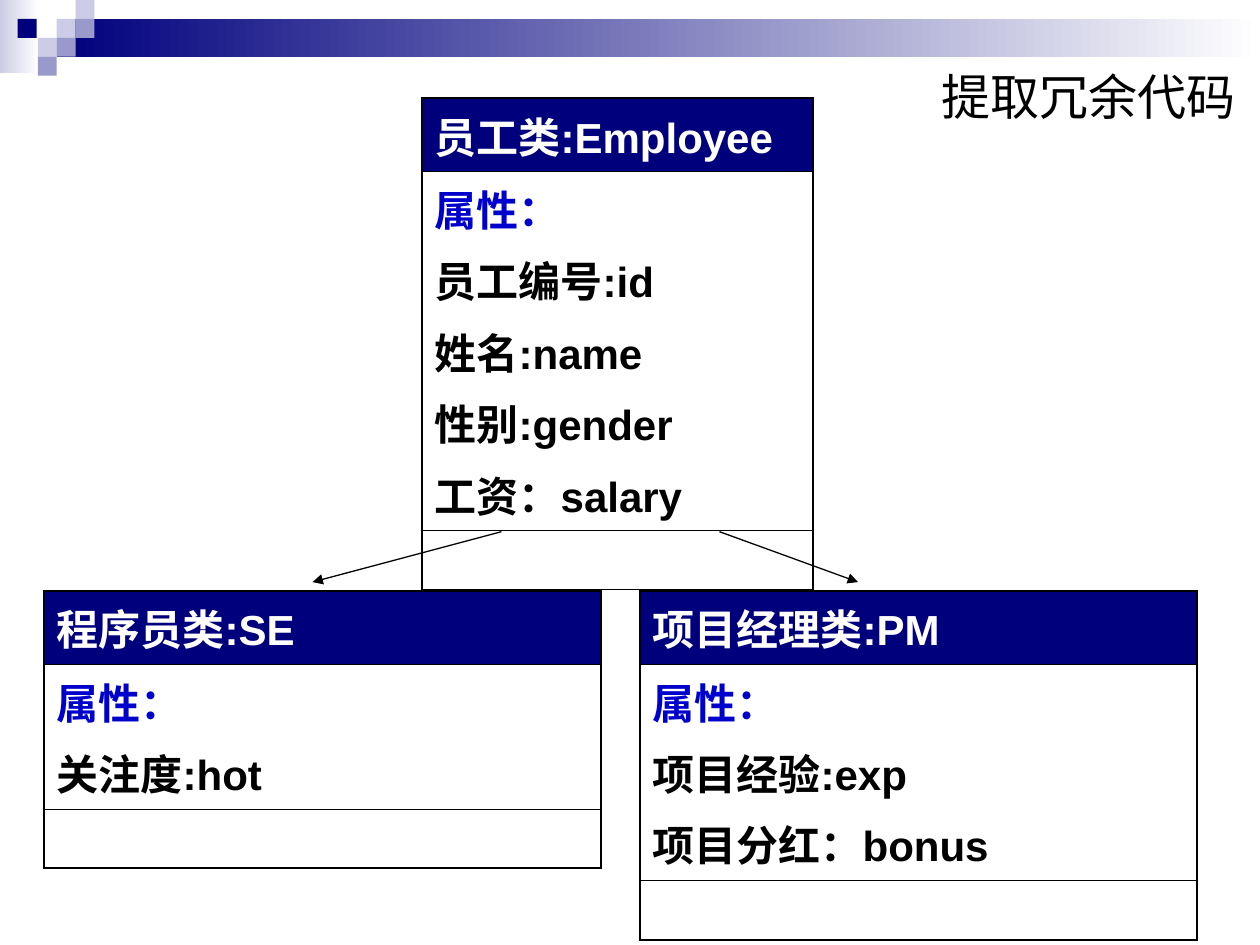
"""Build a slide showing shared fields lifted into a parent class."""
from lxml import etree
from pptx import Presentation
from pptx import util as u
from pptx.dml.color import RGBColor
from pptx.enum import shapes, text
from pptx.oxml.ns import qn

COLORS = {"navy": "00007D", "blue": "0000CC", "lilac": "CCCCE6",
          "violet": "9999CC", "white": "FFFFFF", "black": "000000"}
BANDS = [(0, 0, 0.31, 0.58, "lilac"), (0.45, 0.15, 9.55, 0.3, "navy")]
SQUARES = [(0.45, 0.15, "lilac"), (0.6, 0, "lilac"), (0.6, 0.15, "violet"),
           (0.3, 0.3, "lilac"), (0.14, 0.15, "navy"), (0.45, 0.3, "violet"),
           (0.3, 0.45, "violet")]
CLASSES = [
    (0.35, 4.69, 4.42, 1.15, "程序员类:SE", ["关注度:hot"]),
    (5.08, 4.69, 4.42, 1.72, "项目经理类:PM", ["项目经验:exp", "项目分红：bonus"]),
    (3.35, 0.78, 3.1, 2.85, "员工类:Employee",
     ["员工编号:id", "姓名:name", "性别:gender", "工资：salary"]),
]
ARROWS = [(2.48, 4.62, 3.98, 4.22), (6.81, 4.62, 5.71, 4.22)]
HEADER_HEIGHT, METHODS_HEIGHT = 0.58, 0.47
THICK, THIN = 1.08, 0.45


def rgb(name):
    """Return the named colour."""
    return RGBColor.from_string(COLORS[name])


def add_block(page, left, top, width, height, color, fades=False):
    """Add a borderless rectangle, solid or fading to white."""
    block = page.shapes.add_shape(
        shapes.MSO_SHAPE.RECTANGLE, *map(u.Inches, (left, top, width, height)))
    block.shadow.inherit = False
    block.line.fill.background()
    if fades:
        block.fill.gradient()
        block.fill.gradient_angle = 0
        for stop, name in zip(block.fill.gradient_stops, (color, "white")):
            stop.color.rgb = rgb(name)
    else:
        block.fill.solid()
        block.fill.fore_color.rgb = rgb(color)


def write(para, words, color, **formats):
    """Write one span of text with the given font values."""
    span = para.add_run()
    span.text = words
    span.font.color.rgb = rgb(color)
    for name, value in {"name": "Arial", **formats}.items():
        setattr(span.font, name, value)


def add_title(page, words):
    """Add the right-aligned title."""
    box = page.shapes.add_textbox(*map(u.Inches, (6.65, 0.38, 3.25, 0.77)))
    frame = box.text_frame
    frame.word_wrap = True
    frame.vertical_anchor = text.MSO_ANCHOR.MIDDLE
    frame.paragraphs[0].alignment = text.PP_ALIGN.RIGHT
    write(frame.paragraphs[0], words, "black", size=u.Pt(28))


def set_borders(cell, top, bottom):
    """Draw the four black borders of a cell."""
    props = cell._tc.get_or_add_tcPr()
    widths = {"lnL": THICK, "lnR": THICK, "lnT": top, "lnB": bottom}
    for tag, width in widths.items():
        line = etree.SubElement(props, qn(f"a:{tag}"), w=str(u.Pt(width)))
        fill = etree.SubElement(line, qn("a:solidFill"))
        etree.SubElement(fill, qn("a:srgbClr"), val=COLORS["black"])


def fill_cell(cell, lines):
    """Write (words, colour) pairs as paragraphs of a cell."""
    frame = cell.text_frame
    for index, (words, color) in enumerate(lines):
        para = frame.add_paragraph() if index else frame.paragraphs[0]
        para.space_before = u.Pt(6)
        write(para, words, color, size=u.Pt(24), bold=True)


def add_class(page, left, top, width, fields_height, name, fields):
    """Add a class table with name, fields and empty methods rows."""
    heights = (HEADER_HEIGHT, fields_height, METHODS_HEIGHT)
    table = page.shapes.add_table(
        3, 1, *map(u.Inches, (left, top, width, sum(heights)))).table
    table.first_row = table.horz_banding = False
    contents = ([(name, "white")],
                [("属性：", "blue")] + [(field, "black") for field in fields],
                [])
    edges = (THICK, THIN, THIN, THICK)
    for index, (height, lines) in enumerate(zip(heights, contents)):
        table.rows[index].height = u.Inches(height)
        cell = table.cell(index, 0)
        set_borders(cell, edges[index], edges[index + 1])
        cell.fill.background()
        fill_cell(cell, lines)
    header = table.cell(0, 0)
    header.fill.solid()
    header.fill.fore_color.rgb = rgb("navy")


def add_arrow(page, *ends):
    """Add a thin line with a triangle at its first end."""
    arrow = page.shapes.add_connector(
        shapes.MSO_CONNECTOR.STRAIGHT, *map(u.Inches, ends))
    arrow.line.color.rgb = rgb("black")
    arrow.line.width = u.Pt(0.75)
    etree.SubElement(arrow.line._get_or_add_ln(), qn("a:headEnd"), type="triangle")
    etree.SubElement(arrow._element.spPr, qn("a:effectLst"))


def main():
    """Build and save the deck."""
    deck = Presentation()
    deck.slide_width, deck.slide_height = u.Inches(10), u.Inches(7.5)
    page = deck.slides.add_slide(deck.slide_layouts[6])
    for band in BANDS:
        add_block(page, *band, fades=True)
    for left, top, color in SQUARES:
        add_block(page, left, top, 0.15, 0.15, color)
    add_title(page, "提取冗余代码")
    for details in CLASSES:
        add_class(page, *details)
    for ends in ARROWS:
        add_arrow(page, *ends)
    deck.save("out.pptx")


if __name__ == "__main__":
    main()
